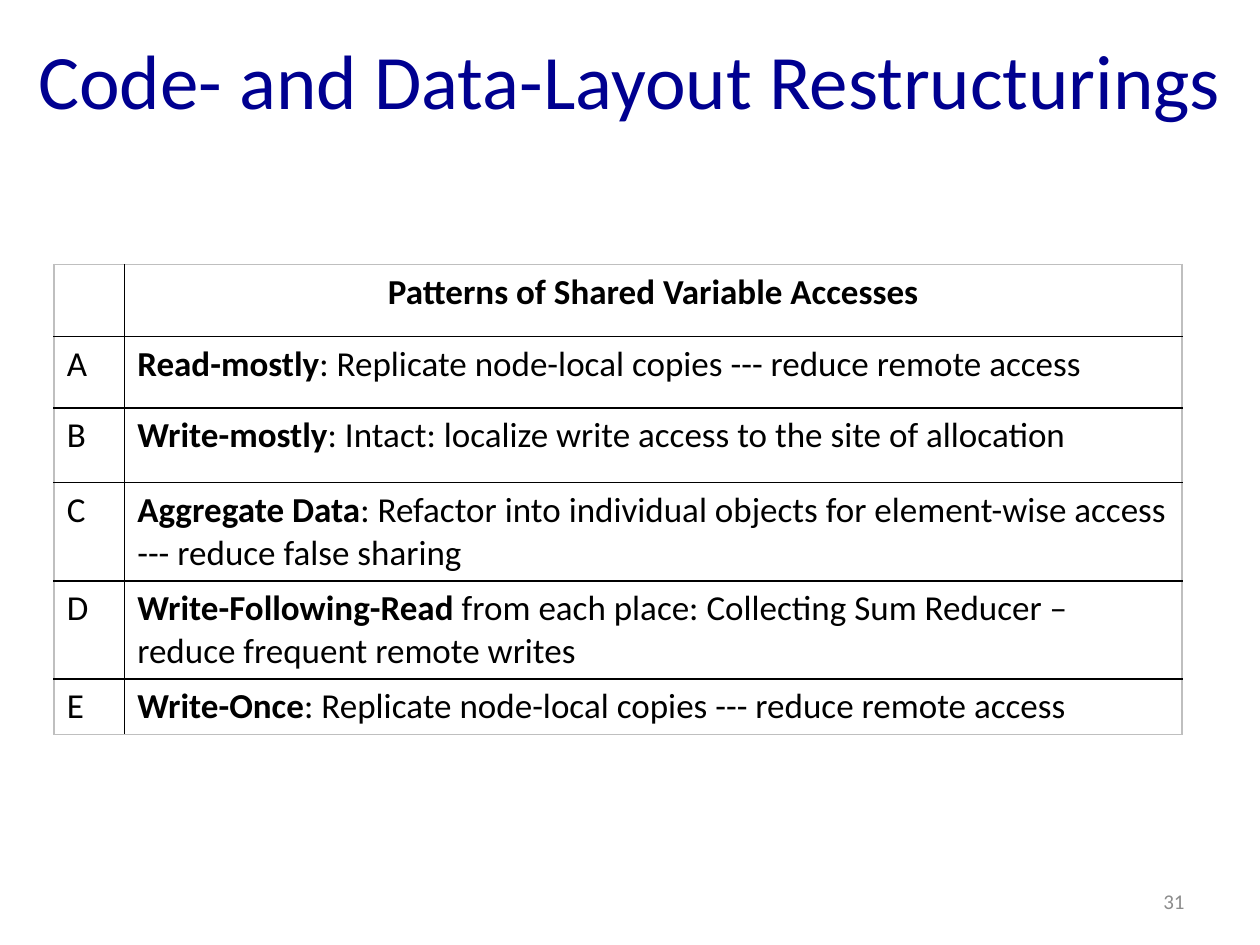
from pptx import Presentation
from pptx.dml.color import RGBColor
from pptx.enum.text import MSO_ANCHOR, PP_ALIGN
from pptx.oxml import parse_xml
from pptx.oxml.ns import nsdecls
from pptx.util import Inches, Pt

TITLE = "Code- and Data-Layout Restructurings"
HEAD = "Patterns of Shared Variable Accesses"
ROWS = [
    ("A", "Read-mostly", ": Replicate node-local copies --- reduce remote access"),
    ("B", "Write-mostly", ": Intact: localize write access to the site of allocation"),
    ("C", "Aggregate Data", ": Refactor into individual objects for element-wise access --- reduce false sharing"),
    ("D", "Write-Following-Read ", "from each place: Collecting Sum Reducer – reduce frequent remote writes"),
    ("E", "Write-Once", ": Replicate node-local copies --- reduce remote access"),
]
NUMBER = "31"
WIDTHS = [0.56, 8.39]
HEIGHTS = [0.57, 0.57, 0.59, 0.78, 0.78, 0.44]
COLORS = {"title": "000090", "text": "000000", "number": "8C8C8C",
          "line": "000000", "edge": "BFBFBF", "back": "FFFFFF"}


def write(frame, *runs, size=20, color="text", align=PP_ALIGN.LEFT, anchor=MSO_ANCHOR.TOP):
    """Fill a text frame with (text, bold) runs in one format."""
    frame.word_wrap = True
    frame.vertical_anchor = anchor
    para = frame.paragraphs[0]
    para.alignment = align
    para.font.size = Pt(size)
    for text, bold in runs:
        run = para.add_run()
        run.text = text
        font = run.font
        font.name, font.size, font.bold = "Calibri", Pt(size), bold
        font.color.rgb = RGBColor.from_string(COLORS[color])


def border(cell, row, col):
    """Draw grey lines on the table's edge and black ones inside."""
    props = cell._tc.get_or_add_tcPr()
    edges = {"L": col == 0, "R": col == len(WIDTHS) - 1,
             "T": row == 0, "B": row == len(HEIGHTS) - 1}
    for side, outer in edges.items():
        color = COLORS["edge" if outer else "line"]
        props.append(parse_xml(
            f'<a:ln{side} {nsdecls("a")} w="{Pt(1)}"><a:solidFill>'
            f'<a:srgbClr val="{color}"/></a:solidFill></a:ln{side}>'))


def main():
    """Build the slide and save it."""
    deck = Presentation()
    deck.slide_width, deck.slide_height = Inches(10), Inches(7.5)
    slide = deck.slides.add_slide(deck.slide_layouts[5])

    title = slide.shapes.title
    title.left, title.top = Inches(0), Inches(0)
    title.width, title.height = Inches(10), Inches(1.25)
    write(title.text_frame, (TITLE, False), size=44, color="title",
          align=PP_ALIGN.CENTER, anchor=MSO_ANCHOR.MIDDLE)

    table = slide.shapes.add_table(
        len(HEIGHTS), len(WIDTHS), Inches(0.43), Inches(2.1),
        Inches(sum(WIDTHS)), Inches(sum(HEIGHTS))).table
    for col, width in zip(table.columns, WIDTHS):
        col.width = Inches(width)
    for row, height in zip(table.rows, HEIGHTS):
        row.height = Inches(height)
    for r in range(len(HEIGHTS)):
        for c in range(len(WIDTHS)):
            cell = table.cell(r, c)
            border(cell, r, c)
            cell.fill.solid()
            cell.fill.fore_color.rgb = RGBColor.from_string(COLORS["back"])

    write(table.cell(0, 1).text_frame, (HEAD, True), align=PP_ALIGN.CENTER)
    for r, (key, name, note) in enumerate(ROWS, 1):
        write(table.cell(r, 0).text_frame, (key, False))
        write(table.cell(r, 1).text_frame, (name, True), (note, False))

    box = slide.shapes.add_textbox(Inches(7.17), Inches(6.95), Inches(2.33), Inches(0.4))
    write(box.text_frame, (NUMBER, False), size=12, color="number",
          align=PP_ALIGN.RIGHT, anchor=MSO_ANCHOR.MIDDLE)
    deck.save("out.pptx")


if __name__ == "__main__":
    main()
